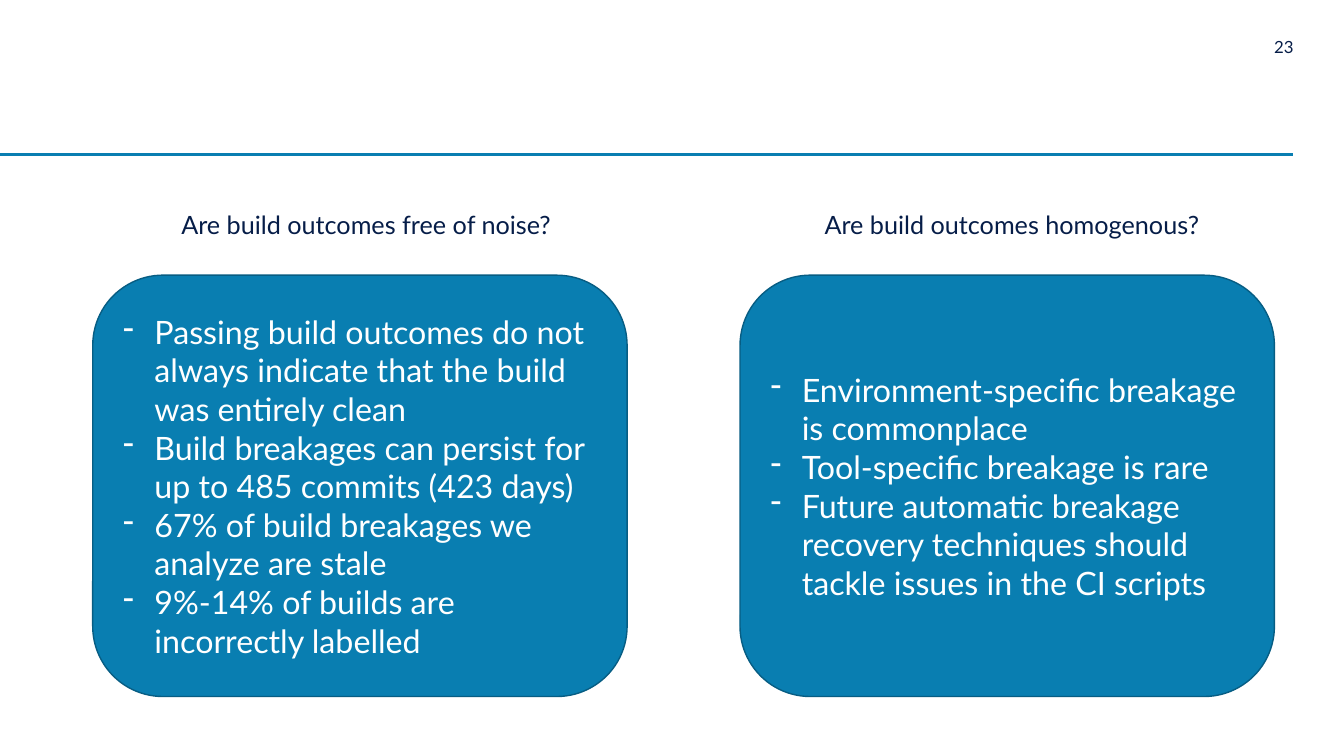
from dataclasses import dataclass

from lxml import etree
from pptx import Presentation
from pptx.dml.color import RGBColor
from pptx.enum.shapes import MSO_CONNECTOR, MSO_SHAPE
from pptx.enum.text import MSO_ANCHOR, MSO_AUTO_SIZE, PP_ALIGN
from pptx.oxml.ns import qn
from pptx.util import Inches, Pt

STRAIGHT = MSO_CONNECTOR.STRAIGHT
ROUNDED_RECTANGLE = MSO_SHAPE.ROUNDED_RECTANGLE
MIDDLE = MSO_ANCHOR.MIDDLE
GROW = MSO_AUTO_SIZE.SHAPE_TO_FIT_TEXT
LEFT, RIGHT = PP_ALIGN.LEFT, PP_ALIGN.RIGHT


@dataclass(frozen=True)
class Theme:
    font: str = "Lato"
    blue: RGBColor = RGBColor.from_string("097EB1")
    outline: RGBColor = RGBColor.from_string("075D83")
    navy: RGBColor = RGBColor.from_string("061D48")
    white: RGBColor = RGBColor.from_string("FFFFFF")
    number_size: Pt = Pt(12)
    heading_size: Pt = Pt(18)
    finding_size: Pt = Pt(23)


theme = Theme()
HANGING_INDENT = Inches(0.31)

# Heading, heading left, heading width, findings
columns = [
    ("Are build outcomes free of noise?", 1.7, 3.93, [
        "Passing build outcomes do not always indicate that the build was entirely clean",
        "Build breakages can persist for up to 485 commits (423 days)",
        "67% of build breakages we analyze are stale",
        "9%-14% of builds are incorrectly labelled",
    ]),
    ("Are build outcomes homogenous?", 8.08, 3.97, [
        "Environment-specific breakage is commonplace",
        "Tool-specific breakage is rare",
        "Future automatic breakage recovery techniques should tackle issues in the CI scripts",
    ]),
]


def write_paragraph(paragraph, text, size, color, alignment=LEFT):
    paragraph.text = text
    paragraph.alignment = alignment
    paragraph.font.name = theme.font
    paragraph.font.size = size
    paragraph.font.color.rgb = color


def add_dash(paragraph):
    """Give the paragraph a hanging dash bullet."""
    properties = paragraph._p.get_or_add_pPr()
    properties.set("marL", str(HANGING_INDENT))
    properties.set("indent", str(-HANGING_INDENT))
    bullet = etree.Element(qn("a:buChar"), char="-")
    properties.insert_element_before(bullet, "a:tabLst", "a:defRPr", "a:extLst")


presentation = Presentation()
presentation.slide_width = Inches(13.33)
presentation.slide_height = Inches(7.5)
slide = presentation.slides.add_slide(presentation.slide_layouts[6])

# Header rule and page number
rule = slide.shapes.add_connector(
    STRAIGHT, Inches(0), Inches(1.53), Inches(12.82), Inches(1.53))
rule.line.color.rgb = theme.blue
rule.line.width = Pt(2.25)
etree.SubElement(rule._element.spPr, qn("a:effectLst"))

number_box = slide.shapes.add_textbox(
    Inches(12.42), Inches(0.36), Inches(0.41), Inches(0.2))
number_frame = number_box.text_frame
number_frame.margin_left = number_frame.margin_right = 0
number_frame.margin_top = number_frame.margin_bottom = 0
number_frame.word_wrap = True
number_frame.auto_size = GROW
write_paragraph(number_frame.paragraphs[0], "23", theme.number_size, theme.navy, RIGHT)

# One heading and one panel of findings per question
for index, (heading, heading_left, heading_width, findings) in enumerate(columns):
    panel = slide.shapes.add_shape(
        ROUNDED_RECTANGLE, Inches(0.92 + index * 6.42), Inches(2.73),
        Inches(5.3), Inches(4.18))
    panel.shadow.inherit = False
    panel.fill.solid()
    panel.fill.fore_color.rgb = theme.blue
    panel.line.color.rgb = theme.outline
    panel.line.width = Pt(1)
    panel_frame = panel.text_frame
    panel_frame.word_wrap = True
    panel_frame.vertical_anchor = MIDDLE
    for position, finding in enumerate(findings):
        paragraph = panel_frame.add_paragraph() if position else panel_frame.paragraphs[0]
        write_paragraph(paragraph, finding, theme.finding_size, theme.white)
        add_dash(paragraph)

    heading_box = slide.shapes.add_textbox(
        Inches(heading_left), Inches(2.03), Inches(heading_width), Inches(0.4))
    heading_frame = heading_box.text_frame
    heading_frame.word_wrap = False
    heading_frame.auto_size = GROW
    write_paragraph(heading_frame.paragraphs[0], heading, theme.heading_size, theme.navy)

presentation.save("out.pptx")
